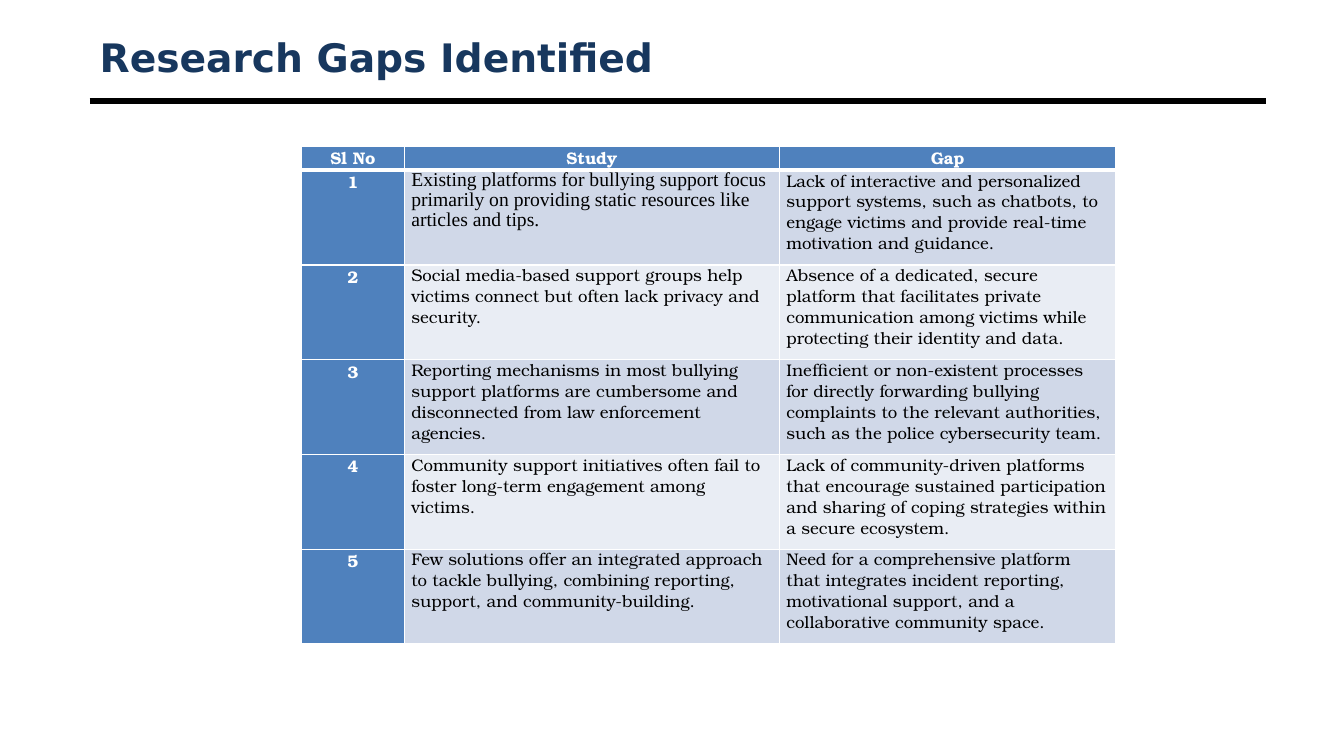
"""Build the research gaps slide with its table of studies and gaps."""
from lxml import etree
from pptx import Presentation
from pptx.dml.color import RGBColor
from pptx.enum.text import MSO_ANCHOR, PP_ALIGN
from pptx.oxml.ns import qn
from pptx.util import Inches, Pt

TITLE = "Research Gaps Identified"
HEADERS = ("Sl No", "Study", "Gap")
GAPS = [
    ("Existing platforms for bullying support focus primarily on providing static resources "
     "like articles and tips.",
     "Lack of interactive and personalized support systems, such as chatbots, to engage victims "
     "and provide real-time motivation and guidance."),
    ("Social media-based support groups help victims connect but often lack privacy and security.",
     "Absence of a dedicated, secure platform that facilitates private communication among victims "
     "while protecting their identity and data."),
    ("Reporting mechanisms in most bullying support platforms are cumbersome and disconnected "
     "from law enforcement agencies.",
     "Inefficient or non-existent processes for directly forwarding bullying complaints to the "
     "relevant authorities, such as the police cybersecurity team."),
    ("Community support initiatives often fail to foster long-term engagement among victims.",
     "Lack of community-driven platforms that encourage sustained participation and sharing of "
     "coping strategies within a secure ecosystem."),
    ("Few solutions offer an integrated approach to tackle bullying, combining reporting, support, "
     "and community-building.",
     "Need for a comprehensive platform that integrates incident reporting, motivational support, "
     "and a collaborative community space."),
]
COLUMN_WIDTHS = (1.02, 3.72, 3.34)
HEADER_HEIGHT, ROW_HEIGHT = 0.24, 0.94
LINE_SPACING = 0.93
NAVY, BLUE, BLACK, WHITE = "17375E", "4F81BD", "000000", "FFFFFF"
BANDS = ("E9EDF4", "D0D8E8")
BODY_FONT = "TeX Gyre Bonum"


def color(value):
    return RGBColor.from_string(value)


def style_text(paragraph, font_name, size, value, bold):
    for run in paragraph.runs:
        run.font.name = font_name
        run.font.size = Pt(size)
        run.font.bold = bold
        run.font.color.rgb = color(value)


def set_borders(cell, bottom_width, top_width):
    properties = cell._tc.get_or_add_tcPr()
    widths = (("a:lnL", 1), ("a:lnR", 1), ("a:lnT", top_width), ("a:lnB", bottom_width))
    for position, (tag, width) in enumerate(widths):
        line = etree.Element(qn(tag), w=str(Pt(width)))
        fill = etree.SubElement(line, qn("a:solidFill"))
        etree.SubElement(fill, qn("a:srgbClr"), val=WHITE)
        properties.insert(position, line)


def add_title(slide):
    rule = slide.shapes.add_connector(1, Inches(0.89), Inches(1), Inches(12.56), Inches(1))
    rule.line.color.rgb = color(BLACK)
    rule.line.width = Pt(4.5)
    etree.SubElement(rule._element.spPr, qn("a:effectLst"))
    title = slide.shapes.add_textbox(Inches(0.89), Inches(0.3), Inches(11.67), Inches(0.53))
    frame = title.text_frame
    frame.word_wrap = True
    frame.vertical_anchor = MSO_ANCHOR.MIDDLE
    frame.text = TITLE
    style_text(frame.paragraphs[0], "DejaVu Sans", 28, NAVY, True)


def fill_cell(cell, text, row, column):
    strong = row == 0 or column == 0
    first_study = (row, column) == (1, 1)
    cell.margin_left = cell.margin_right = Inches(0.07)
    cell.margin_top = cell.margin_bottom = 0
    cell.fill.solid()
    cell.fill.fore_color.rgb = color(BLUE if strong else BANDS[row % 2])
    set_borders(cell, 3 if row == 0 else 1, 3 if row == 1 else 1)
    cell.text_frame.text = text
    paragraph = cell.text_frame.paragraphs[0]
    paragraph.alignment = PP_ALIGN.CENTER if strong else PP_ALIGN.LEFT
    paragraph.line_spacing = LINE_SPACING
    style_text(paragraph, "Times New Roman" if first_study else BODY_FONT,
               14 if first_study else 12, WHITE if strong else BLACK, strong)


def add_gap_table(slide):
    rows = [HEADERS] + [(str(number), *gap) for number, gap in enumerate(GAPS, 1)]
    height = HEADER_HEIGHT + ROW_HEIGHT * len(GAPS)
    table = slide.shapes.add_table(len(rows), len(HEADERS), Inches(2.99), Inches(1.45),
                                   Inches(sum(COLUMN_WIDTHS)), Inches(height)).table
    for column, width in zip(table.columns, COLUMN_WIDTHS):
        column.width = Inches(width)
    for row, texts in enumerate(rows):
        table.rows[row].height = Inches(ROW_HEIGHT if row else HEADER_HEIGHT)
        for column, text in enumerate(texts):
            fill_cell(table.cell(row, column), text, row, column)


def main():
    presentation = Presentation()
    presentation.slide_width, presentation.slide_height = Inches(13.33), Inches(7.5)
    slide = presentation.slides.add_slide(presentation.slide_layouts[6])
    add_title(slide)
    add_gap_table(slide)
    presentation.save("out.pptx")


if __name__ == "__main__":
    main()
